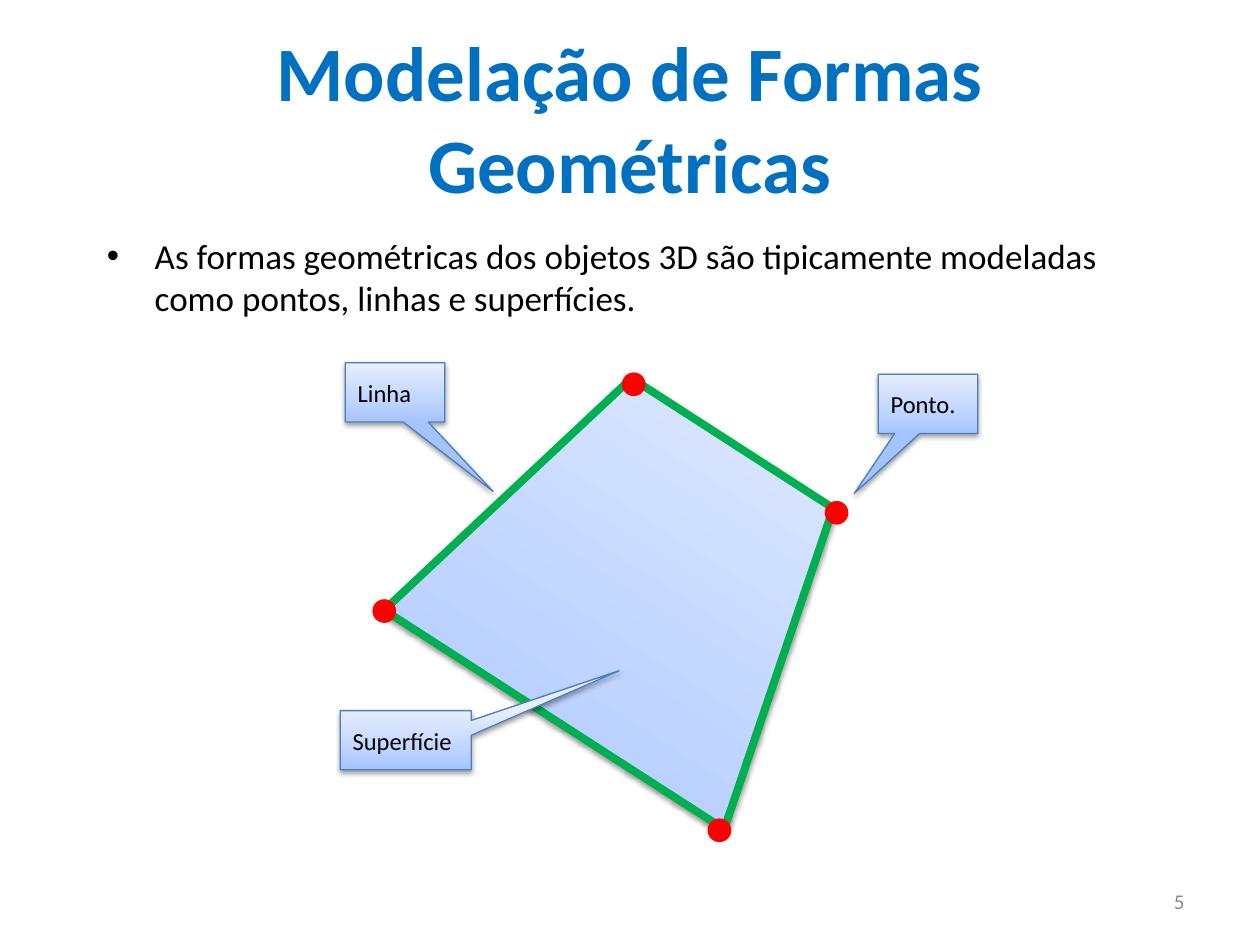
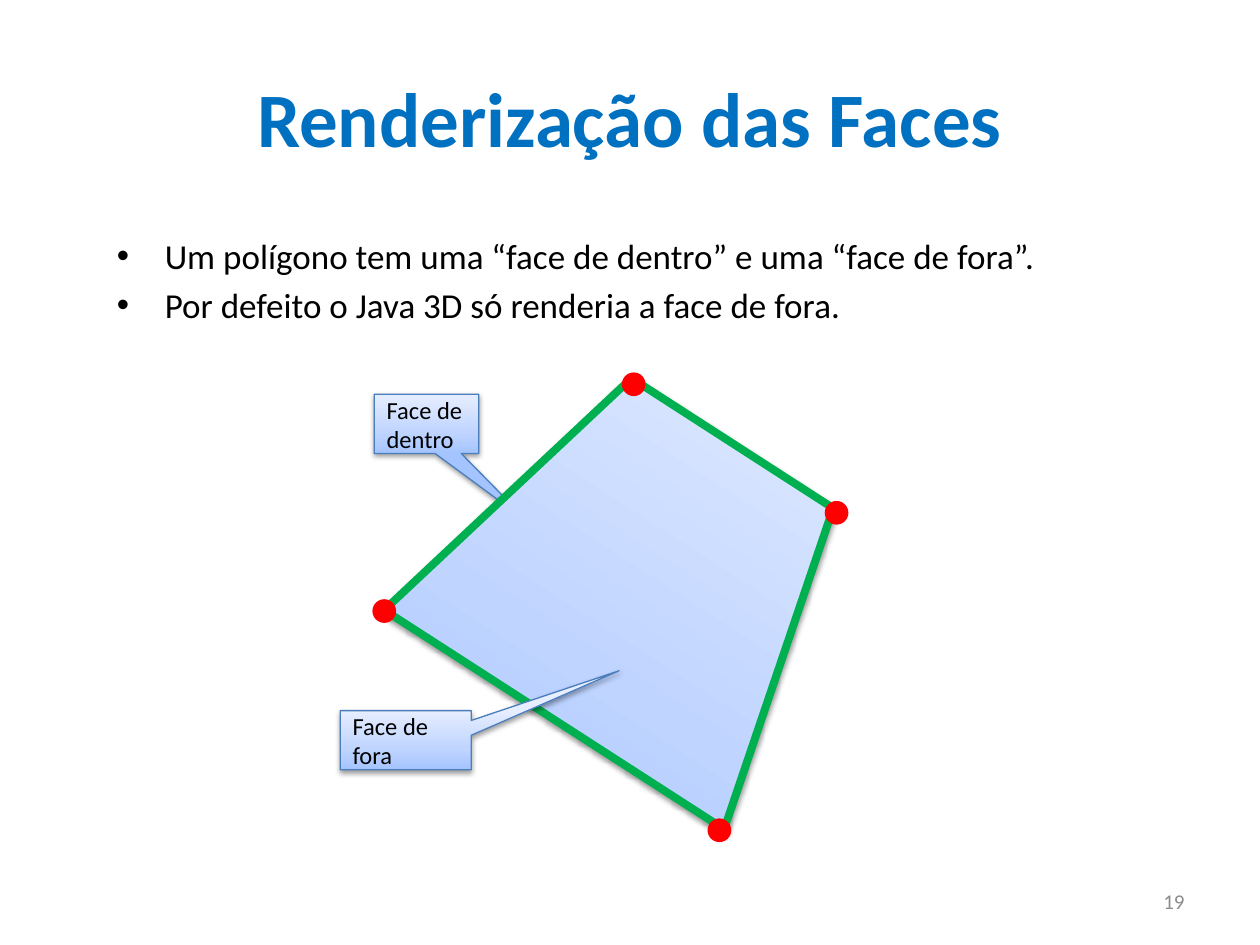
"""Build two slides on modelling and rendering geometric shapes."""
from dataclasses import dataclass

from lxml.etree import SubElement
from pptx import Presentation
from pptx.dml.color import RGBColor
from pptx.enum.shapes import MSO_SHAPE
from pptx.enum.text import MSO_ANCHOR, PP_ALIGN
from pptx.oxml import parse_xml
from pptx.oxml.ns import nsdecls, qn
from pptx.util import Inches, Pt


@dataclass(frozen=True)
class Theme:
    font: str = "Calibri"
    title: str = "0070C0"
    text: str = "000000"
    number: str = "8C8C8C"
    edge: str = "00B050"
    vertex: str = "FF0000"
    callout_line: str = "4B7EBC"
    shadow: str = "000000"
    gradient: tuple = ((0, "A4C4FF"), (35, "BFD4FF"), (100, "E6EEFF"))
    title_size: int = 44
    body_size: int = 20
    callout_size: int = 14
    number_size: int = 12


def set_values(target, values):
    for name, value in values.items():
        setattr(target, name, value)


class SlideBuilder:
    def __init__(self, presentation, theme):
        self.presentation = presentation
        self.theme = theme
        self.slide = None

    def start(self, title, number):
        layout = self.presentation.slide_layouts.get_by_name("Title Only")
        self.slide = self.presentation.slides.add_slide(layout)
        self.add_title(title)
        self.add_number(number)

    def add_text(self, paragraph, text, size, color, bold=False, align=PP_ALIGN.LEFT):
        paragraph.alignment = align
        run = paragraph.add_run()
        run.text = text
        set_values(run.font, {"name": self.theme.font, "size": Pt(size), "bold": bold})
        run.font.color.rgb = RGBColor.from_string(color)

    def add_title(self, text):
        title = self.slide.shapes.title
        set_values(title, {"left": Inches(0.5), "top": Inches(0.3),
                           "width": Inches(9), "height": Inches(1.25)})
        title.text_frame.vertical_anchor = MSO_ANCHOR.MIDDLE
        self.add_text(title.text_frame.paragraphs[0], text, self.theme.title_size,
                      self.theme.title, bold=True, align=PP_ALIGN.CENTER)

    def add_text_frame(self, left, top, width, height, anchor):
        box = self.slide.shapes.add_textbox(
            Inches(left), Inches(top), Inches(width), Inches(height))
        set_values(box.text_frame, {"word_wrap": True, "vertical_anchor": anchor})
        return box.text_frame

    def add_number(self, number):
        frame = self.add_text_frame(7.17, 6.95, 2.33, 0.4, MSO_ANCHOR.MIDDLE)
        self.add_text(frame.paragraphs[0], str(number), self.theme.number_size,
                      self.theme.number, align=PP_ALIGN.RIGHT)

    def add_bullets(self, left, items):
        frame = self.add_text_frame(left, 1.81, 8.5, 2.64, MSO_ANCHOR.TOP)
        for index, item in enumerate(items):
            paragraph = frame.add_paragraph() if index else frame.paragraphs[0]
            self.add_text(paragraph, item, self.theme.body_size, self.theme.text)
            paragraph.space_before = Pt(0.2 * self.theme.body_size)
            properties = paragraph._p.get_or_add_pPr()
            properties.set("marL", str(Inches(0.38)))
            properties.set("indent", str(Inches(-0.38)))
            SubElement(properties, qn("a:buFont"), typeface="Arial")
            SubElement(properties, qn("a:buChar"), char="•")

    def add_shape(self, kind, left, top, width, height, line_color, line_width):
        shape = self.slide.shapes.add_shape(
            kind, Inches(left), Inches(top), Inches(width), Inches(height))
        shape.line.color.rgb = RGBColor.from_string(line_color)
        shape.line.width = Pt(line_width)
        shape.shadow.inherit = False
        return shape

    def add_glossy_shape(self, *arguments):
        shape = self.add_shape(*arguments)
        shape.fill.background()
        properties = shape._element.spPr
        stops = "".join(
            f'<a:gs pos="{position * 1000}"><a:srgbClr val="{color}"/></a:gs>'
            for position, color in self.theme.gradient)
        properties.replace(properties.find(qn("a:noFill")), parse_xml(
            f'<a:gradFill {nsdecls("a")} rotWithShape="1"><a:gsLst>{stops}</a:gsLst>'
            '<a:lin ang="16200000" scaled="0"/></a:gradFill>'))
        properties.find(qn("a:effectLst")).append(parse_xml(
            f'<a:outerShdw {nsdecls("a")} blurRad="{Pt(3.1)}" dist="{Pt(1.6)}" '
            f'dir="5400000" rotWithShape="0"><a:srgbClr val="{self.theme.shadow}">'
            '<a:alpha val="38000"/></a:srgbClr></a:outerShdw>'))
        return shape

    def add_polygon(self):
        polygon = self.add_glossy_shape(
            MSO_SHAPE.TRAPEZOID, 3.5, 3.31, 3.21, 2.61, self.theme.edge, 4.5)
        polygon.rotation = 32.8
        for left, top in ((4.95, 2.97), (6.56, 3.99), (5.63, 6.51), (2.97, 4.77)):
            vertex = self.add_shape(
                MSO_SHAPE.OVAL, left, top, 0.16, 0.16, self.theme.vertex, 2)
            vertex.fill.solid()
            vertex.fill.fore_color.rgb = RGBColor.from_string(self.theme.vertex)

    def add_callout(self, text, left, top, width, pointer):
        callout = self.add_glossy_shape(
            MSO_SHAPE.RECTANGULAR_CALLOUT, left, top, width, 0.47,
            self.theme.callout_line, 0.75)
        for index, value in enumerate(pointer):
            callout.adjustments[index] = value
        callout.text_frame.vertical_anchor = MSO_ANCHOR.MIDDLE
        self.add_text(callout.text_frame.paragraphs[0], text,
                      self.theme.callout_size, self.theme.text)

    def add_line_callout(self, text, left, top, width):
        self.add_callout(text, left, top, width, (0.985, 1.672))

    def add_surface_callout(self, text):
        self.add_callout(text, 2.7, 5.64, 1.04, (1.629, -1.174))


def main():
    presentation = Presentation()
    set_values(presentation, {"slide_width": Inches(10), "slide_height": Inches(7.5)})
    builder = SlideBuilder(presentation, Theme())

    builder.start("Modelação de Formas Geométricas", 5)
    builder.add_bullets(0.75, [
        "As formas geométricas dos objetos 3D são tipicamente modeladas "
        "como pontos, linhas e superfícies."])
    builder.add_polygon()
    builder.add_callout("Ponto.", 6.97, 2.97, 0.79, (-0.74, 1.512))
    builder.add_line_callout("Linha", 2.74, 2.88, 0.79)
    builder.add_surface_callout("Superfície")

    builder.start("Renderização das Faces", 19)
    builder.add_line_callout("Face de dentro", 2.97, 3.13, 0.83)
    builder.add_bullets(0.83, [
        "Um polígono tem uma “face de dentro” e uma “face de fora”.",
        "Por defeito o Java 3D só renderia a face de fora."])
    builder.add_polygon()
    builder.add_surface_callout("Face de fora")

    presentation.save("out.pptx")


if __name__ == "__main__":
    main()
